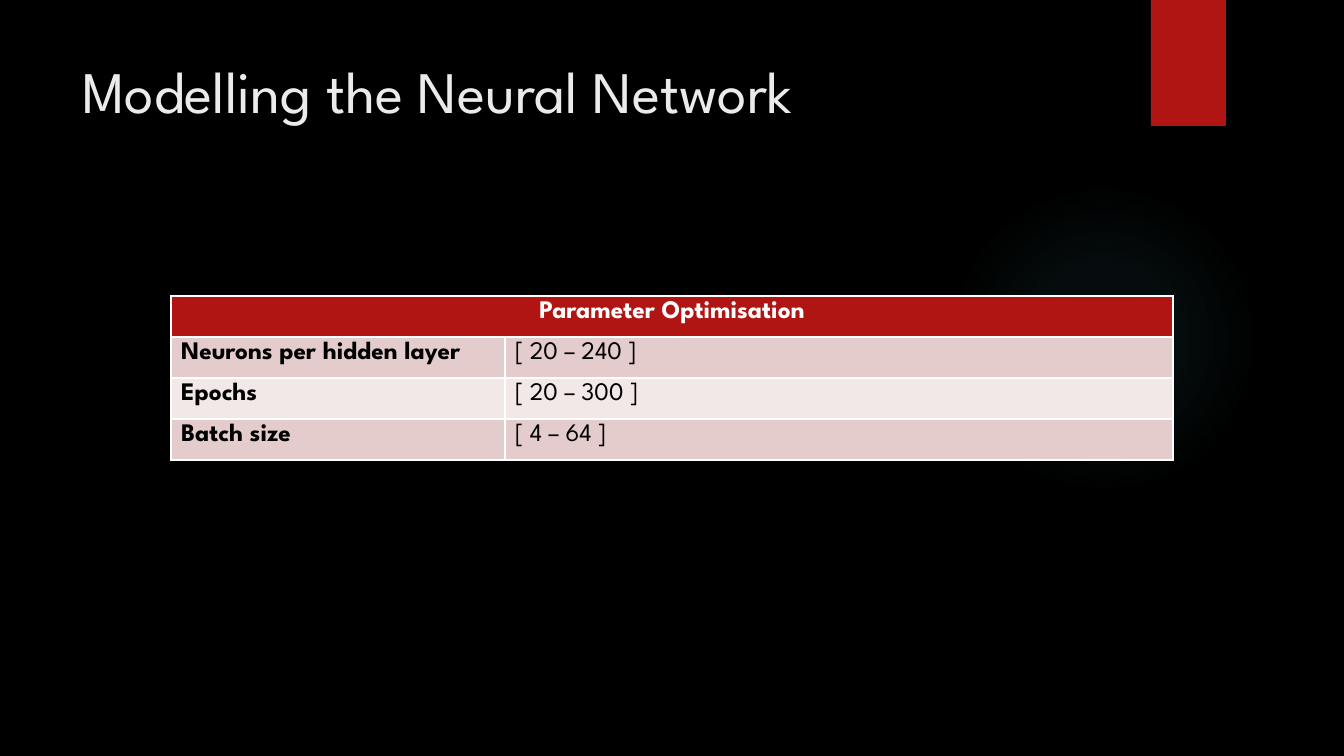
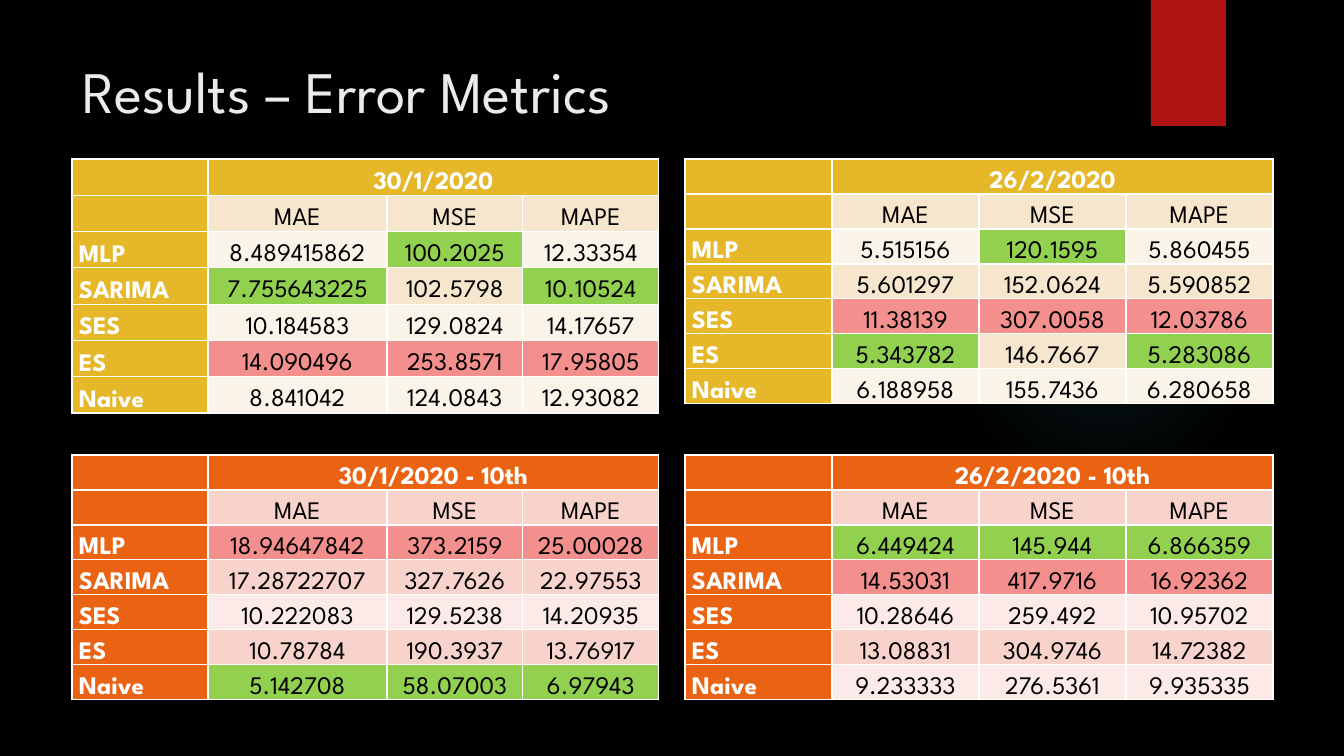
"""Builds two slides on a neural network: its parameter ranges and error metrics."""
import pptx
import pptx.dml.color
import pptx.enum.shapes
import pptx.enum.text
import pptx.oxml
import pptx.oxml.ns
import pptx.util

RGB = pptx.dml.color.RGBColor
SHAPE = pptx.enum.shapes.MSO_SHAPE
ALIGN = pptx.enum.text.PP_ALIGN
ANCHOR = pptx.enum.text.MSO_ANCHOR

BLACK = RGB(0, 0, 0)
WHITE = RGB(255, 255, 255)
PALE = RGB(0xEB, 0xEB, 0xEB)
TEAL = RGB(0x50, 0xB9, 0xC1)
RED = RGB(0xB0, 0x15, 0x13)
ROSE = RGB(0xE4, 0xCC, 0xCC)
BLUSH = RGB(0xF2, 0xE8, 0xE7)
GOLD = RGB(0xE6, 0xB7, 0x29)
SAND = RGB(0xF5, 0xE6, 0xCD)
CREAM = RGB(0xFA, 0xF3, 0xE8)
ORANGE = RGB(0xEA, 0x63, 0x12)
PEACH = RGB(0xF7, 0xD3, 0xCC)
SHELL = RGB(0xFB, 0xEA, 0xE7)
BEST = RGB(0x92, 0xD0, 0x50)
WORST = RGB(0xF3, 0x8F, 0x8D)

FONT = "League Spartan"
SCALE = 914400 / 100.8
YELLOWS = (GOLD, SAND, CREAM)
ORANGES = (ORANGE, PEACH, SHELL)
MODELS = ("MLP", "SARIMA", "SES", "ES", "Naive")
METRICS = ("MAE", "MSE", "MAPE")
LEFT = (72, (136, 179, 136, 136))
RIGHT = (685, (147,) * 4)

RANGES = (
    ("Neurons per hidden layer", "[ 20 – 240 ]"),
    ("Epochs", "[ 20 – 300 ]"),
    ("Batch size", "[ 4 – 64 ]"),
)
JAN = (
    ("8.489415862", "100.2025", "12.33354"),
    ("7.755643225", "102.5798", "10.10524"),
    ("10.184583", "129.0824", "14.17657"),
    ("14.090496", "253.8571", "17.95805"),
    ("8.841042", "124.0843", "12.93082"),
)
FEB = (
    ("5.515156", "120.1595", "5.860455"),
    ("5.601297", "152.0624", "5.590852"),
    ("11.38139", "307.0058", "12.03786"),
    ("5.343782", "146.7667", "5.283086"),
    ("6.188958", "155.7436", "6.280658"),
)
JAN_TENTH = (
    ("18.94647842", "373.2159", "25.00028"),
    ("17.28722707", "327.7626", "22.97553"),
    ("10.222083", "129.5238", "14.20935"),
    ("10.78784", "190.3937", "13.76917"),
    ("5.142708", "58.07003", "6.97943"),
)
FEB_TENTH = (
    ("6.449424", "145.944", "6.866359"),
    ("14.53031", "417.9716", "16.92362"),
    ("10.28646", "259.492", "10.95702"),
    ("13.08831", "304.9746", "14.72382"),
    ("9.233333", "276.5361", "9.935335"),
)


def px(size):
    """Turn pixels into EMU."""
    return pptx.util.Emu(round(size * SCALE))


def style(para, size, color, bold=False, align=ALIGN.LEFT):
    """Set the font and alignment of a paragraph."""
    para.alignment = align
    para.font.name = FONT
    para.font.size = pptx.util.Pt(size)
    para.font.bold = bold
    para.font.color.rgb = color


def add_block(slide, kind, box, color):
    """Add a plain filled shape."""
    block = slide.shapes.add_shape(kind, *map(px, box))
    block.shadow.inherit = False
    block.fill.solid()
    block.fill.fore_color.rgb = color
    block.line.fill.background()
    return block


def add_glow(slide):
    """Add the faint round glow that fades outwards."""
    glow = add_block(slide, SHAPE.OVAL, (949, 184, 310, 310), TEAL)
    stops = "".join(
        f'<a:gs pos="{pos}000"><a:srgbClr val="{TEAL}">'
        f'<a:alpha val="{alpha}000"/></a:srgbClr></a:gs>'
        for pos, alpha in ((0, 7), (36, 6), (69, 0))
    )
    fade = pptx.oxml.parse_xml(
        f'<a:gradFill {pptx.oxml.ns.nsdecls("a")}><a:gsLst>{stops}</a:gsLst>'
        '<a:path path="circle"><a:fillToRect l="50000" t="50000" '
        'r="50000" b="50000"/></a:path></a:gradFill>'
    )
    props = glow.element.spPr
    props.replace(props.find(pptx.oxml.ns.qn("a:solidFill")), fade)


def add_slide(deck, text):
    """Add a slide with the shared glow, red band and title."""
    slide = deck.slides.add_slide(deck.slide_layouts[5])
    add_glow(slide)
    add_block(slide, SHAPE.RECTANGLE, (1151, 0, 75, 126), RED)
    title = slide.shapes.title
    title.left, title.top, title.width, title.height = map(px, (72, 50, 1037, 154))
    title.text_frame.text = text
    title.text_frame.vertical_anchor = ANCHOR.TOP
    style(title.text_frame.paragraphs[0], 42, PALE)
    return slide


def add_grid(slide, left, top, cols, count, height):
    """Add an empty table with given column widths and equal rows."""
    frame = slide.shapes.add_table(
        count, len(cols), px(left), px(top), px(sum(cols)), px(count * height)
    )
    table = frame.table
    for col, width in zip(table.columns, cols):
        col.width = px(width)
    for row in table.rows:
        row.height = px(height)
    return table


def put(cell, text, fill, color=BLACK, bold=False, align=ALIGN.LEFT):
    """Fill a cell and write its text."""
    cell.fill.solid()
    cell.fill.fore_color.rgb = fill
    cell.text = text
    style(cell.text_frame.paragraphs[0], 18, color, bold, align)


def put_tight(cell, text, fill, anchor=ANCHOR.MIDDLE, **look):
    """Fill a cell with narrow margins and wide line spacing."""
    put(cell, text, fill, **look)
    cell.margin_left = cell.margin_right = px(7)
    cell.margin_top = cell.margin_bottom = 0
    cell.vertical_anchor = anchor
    cell.text_frame.paragraphs[0].line_spacing = 1.5


def add_ranges(slide):
    """Add the table of parameter ranges."""
    table = add_grid(slide, 171, 296, (334, 668), len(RANGES) + 1, 41)
    table.cell(0, 0).merge(table.cell(0, 1))
    put(table.cell(0, 0), "Parameter Optimisation", RED, WHITE, True, ALIGN.CENTER)
    for row, (name, span) in enumerate(RANGES, 1):
        fill = ROSE if row % 2 else BLUSH
        put(table.cell(row, 0), name, fill, bold=True)
        put(table.cell(row, 1), span, fill)


def rate(value, column, plain):
    """Pick the fill that marks the lowest and highest error."""
    errors = [float(item) for item in column]
    return {min(errors): BEST, max(errors): WORST}.get(float(value), plain)


def add_scores(slide, side, top, height, tones, day, scores):
    """Add one table of errors by model and metric."""
    head, dark, light = tones
    left, cols = side
    table = add_grid(slide, left, top, cols, len(MODELS) + 2, height)
    table.cell(0, 1).merge(table.cell(0, 3))
    for row, name in enumerate(("", "") + MODELS):
        put_tight(table.cell(row, 0), name, head, ANCHOR.BOTTOM, color=WHITE, bold=True)
    put_tight(table.cell(0, 1), day, head, color=WHITE, bold=True, align=ALIGN.CENTER)
    for col, (metric, column) in enumerate(zip(METRICS, zip(*scores)), 1):
        put_tight(table.cell(1, col), metric, dark, align=ALIGN.CENTER)
        for row, value in enumerate(column, 2):
            fill = rate(value, column, dark if row % 2 else light)
            put_tight(table.cell(row, col), value, fill, align=ALIGN.CENTER)


def main():
    """Build and save the deck."""
    deck = pptx.Presentation()
    deck.slide_width, deck.slide_height = px(1344), px(756)
    back = deck.slide_master.background.fill
    back.solid()
    back.fore_color.rgb = BLACK

    add_ranges(add_slide(deck, "Modelling the Neural Network"))

    results = add_slide(deck, "Results – Error Metrics")
    add_scores(results, LEFT, 159, 36.3, YELLOWS, "30/1/2020", JAN)
    add_scores(results, RIGHT, 159, 35, YELLOWS, "26/2/2020", FEB)
    add_scores(results, LEFT, 455, 35, ORANGES, "30/1/2020 - 10th", JAN_TENTH)
    add_scores(results, RIGHT, 455, 35, ORANGES, "26/2/2020 - 10th", FEB_TENTH)
    deck.save("out.pptx")


main()
